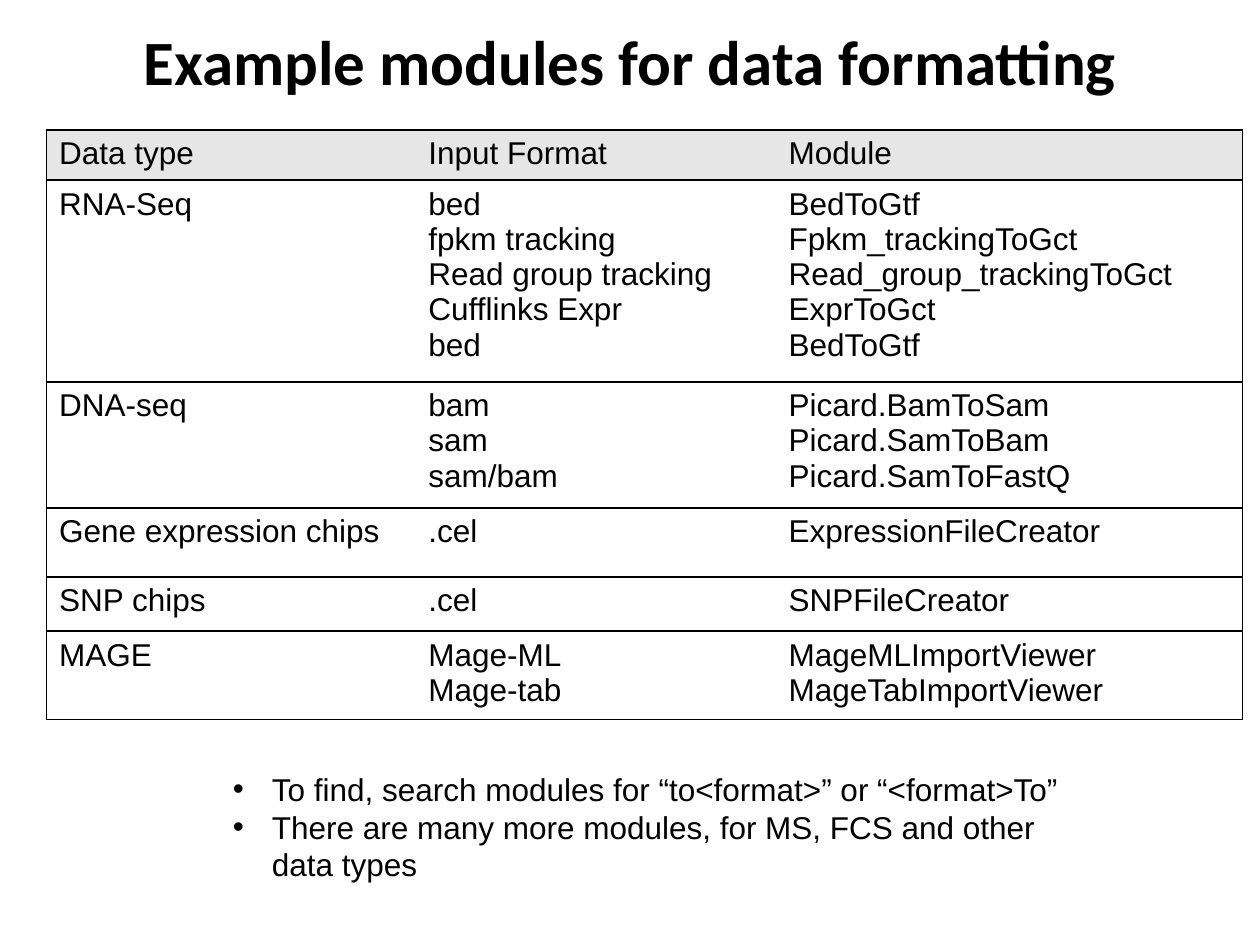
from lxml.etree import SubElement
from pptx import Presentation
from pptx.dml.color import RGBColor
from pptx.enum.text import MSO_ANCHOR, PP_ALIGN
from pptx.oxml.ns import qn
from pptx.util import Inches, Pt

COLORS = {"text": "000000", "border": "000000", "header": "E7E6E6", "body": "FFFFFF"}
TITLE_FONT = {"name": "Calibri", "size": Pt(36), "bold": True}
BODY_FONT = {"name": "Arial", "size": Pt(18), "bold": False}

COL_WIDTHS = [2.93, 2.86, 3.7]
ROW_HEIGHTS = [0.4, 1.6, 1, 0.55, 0.43, 0.7]
ROWS = [
    ("Data type", "Input Format", "Module"),
    ("RNA-Seq",
     "bed\nfpkm tracking\nRead group tracking\nCufflinks Expr\nbed",
     "BedToGtf\nFpkm_trackingToGct\nRead_group_trackingToGct\nExprToGct\nBedToGtf"),
    ("DNA-seq",
     "bam\nsam\nsam/bam",
     "Picard.BamToSam\nPicard.SamToBam\nPicard.SamToFastQ"),
    ("Gene expression chips", ".cel", "ExpressionFileCreator"),
    ("SNP chips", ".cel", "SNPFileCreator"),
    ("MAGE", "Mage-ML\nMage-tab", "MageMLImportViewer\nMageTabImportViewer"),
]
NOTES = [
    "To find, search modules for “to<format>” or “<format>To”",
    "There are many more modules, for MS, FCS and other data types",
]


def write(tf, text, font):
    """Fill a text frame, one paragraph per line, in the given font."""
    tf.text = text
    for p in tf.paragraphs:
        for r in p.runs:
            for name, value in font.items():
                setattr(r.font, name, value)
            r.font.color.rgb = RGBColor.from_string(COLORS["text"])


def set_borders(cell, visible):
    """Draw the named sides of a cell and switch the other sides off."""
    tcPr = cell._tc.get_or_add_tcPr()
    for i, side in enumerate(("lnL", "lnR", "lnT", "lnB")):
        ln = tcPr.makeelement(qn(f"a:{side}"), {"w": str(Pt(1))})
        if side in visible:
            fill = SubElement(ln, qn("a:solidFill"))
            SubElement(fill, qn("a:srgbClr"), val=COLORS["border"])
        else:
            SubElement(ln, qn("a:noFill"))
        tcPr.insert(i, ln)


prs = Presentation()
prs.slide_width, prs.slide_height = Inches(10), Inches(7.5)
s = prs.slides.add_slide(prs.slide_layouts[5])

# Title
title = s.shapes.title
title.left, title.top = Inches(0), Inches(0.12)
title.width, title.height = Inches(10), Inches(0.72)
write(title.text_frame, "Example modules for data formatting", TITLE_FONT)
title.text_frame.vertical_anchor = MSO_ANCHOR.MIDDLE
title.text_frame.paragraphs[0].alignment = PP_ALIGN.CENTER

# Module table
table = s.shapes.add_table(
    len(ROWS), len(COL_WIDTHS), Inches(0.37), Inches(1.03),
    Inches(sum(COL_WIDTHS)), Inches(sum(ROW_HEIGHTS))).table
table.horz_banding = False
for column, width in zip(table.columns, COL_WIDTHS):
    column.width = Inches(width)
for i, (row, height) in enumerate(zip(ROWS, ROW_HEIGHTS)):
    table.rows[i].height = Inches(height)
    for j, text in enumerate(row):
        cell = table.cell(i, j)
        write(cell.text_frame, text, BODY_FONT)
        cell.fill.solid()
        cell.fill.fore_color.rgb = RGBColor.from_string(COLORS["body" if i else "header"])
        sides = {"lnT", "lnB"}
        if j == 0:
            sides.add("lnL")
        if j == len(row) - 1:
            sides.add("lnR")
        set_borders(cell, sides)

# Bulleted notes
notes = s.shapes.add_textbox(Inches(1.75), Inches(6.06), Inches(7), Inches(1.01))
tf = notes.text_frame
tf.word_wrap = True
write(tf, "\n".join(NOTES), BODY_FONT)
for p in tf.paragraphs:
    pPr = p._p.get_or_add_pPr()
    pPr.set("marL", str(Inches(0.31)))
    pPr.set("indent", str(-Inches(0.31)))
    SubElement(pPr, qn("a:buFont"), typeface="Arial")
    SubElement(pPr, qn("a:buChar"), char="•")

prs.save("out.pptx")
